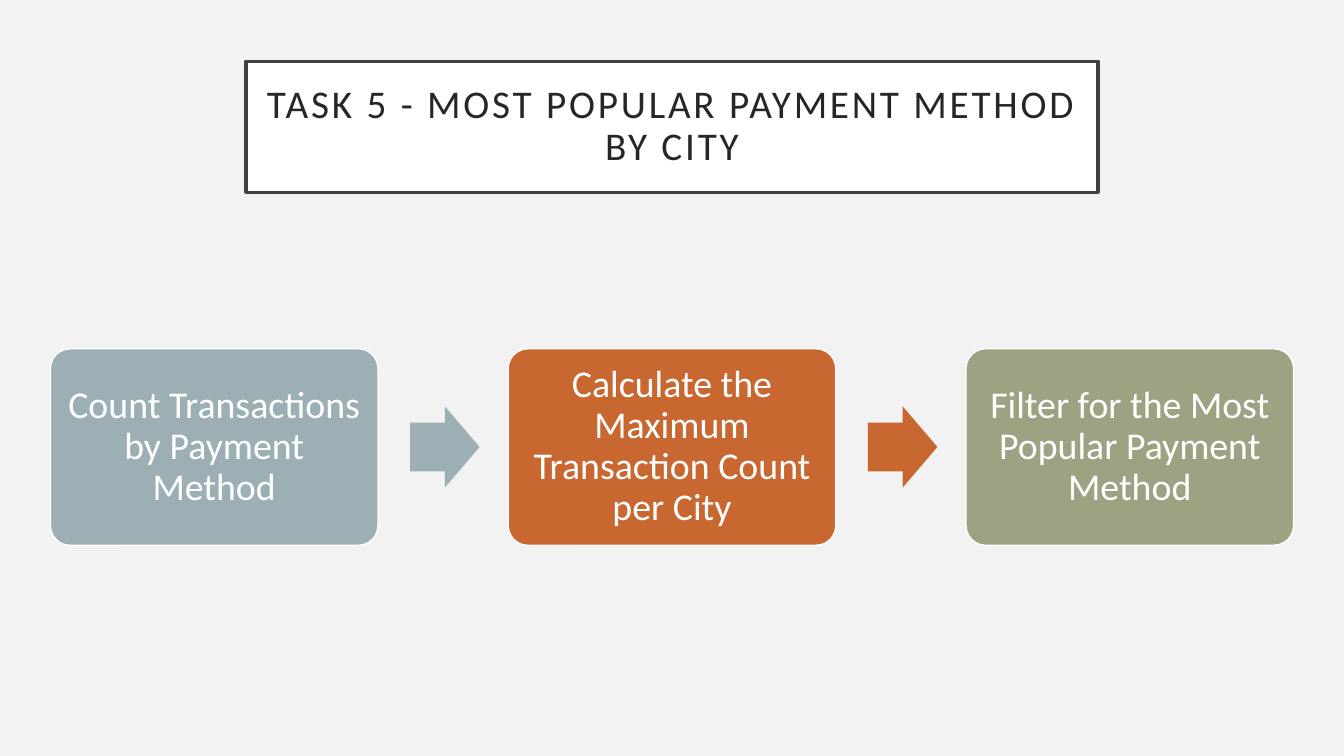
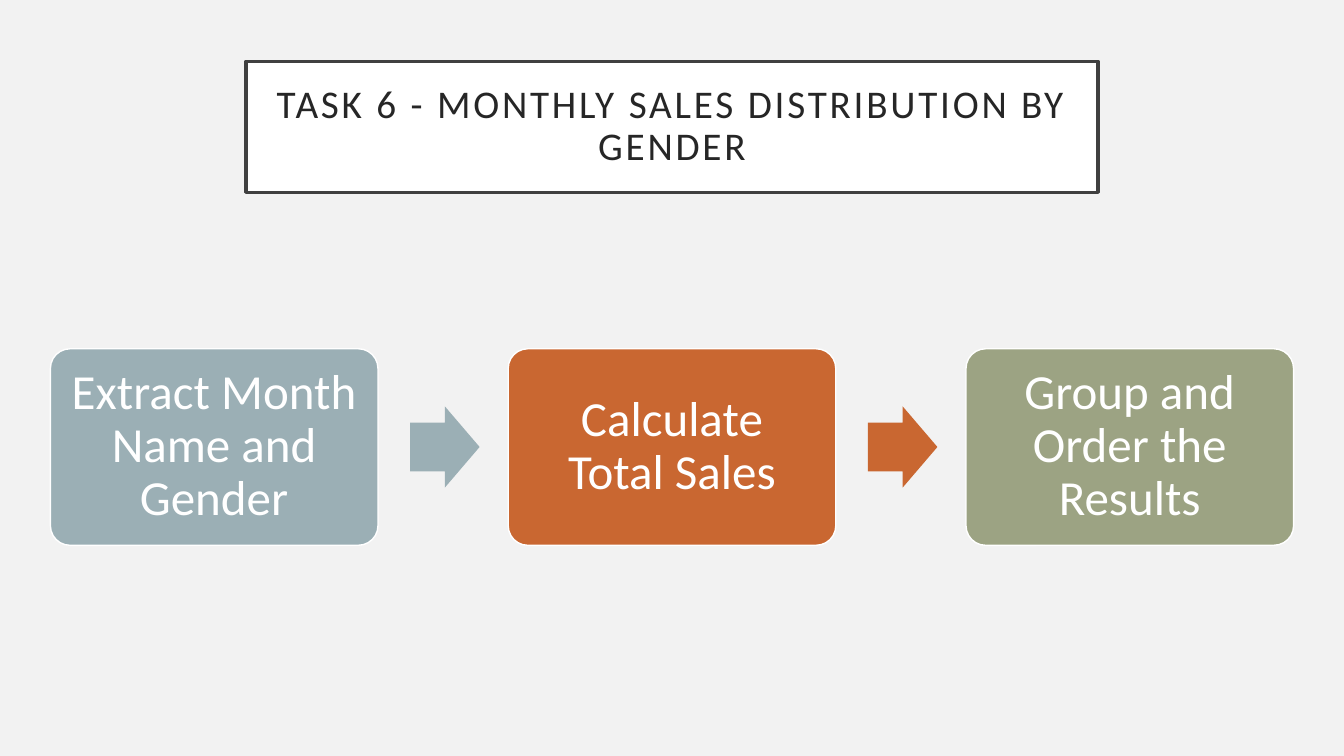
from dataclasses import dataclass

from pptx import Presentation
from pptx import util as u
from pptx.dml.color import RGBColor
from pptx.enum import shapes, text

# Shared look
FONT = "Calibri"
COLOURS = {
    "background": "F2F2F2",
    "title_fill": "FFFFFF",
    "title_line": "404040",
    "title_text": "262626",
    "step_text": "FFFFFF",
    "step_line": "FFFFFF",
}
STEP_FILLS = ("9BAFB5", "C96731", "9CA383")

# Geometry in points
SLIDE_WIDTH, SLIDE_HEIGHT = 960, 540
TITLE_TOP, TITLE_WIDTH, TITLE_HEIGHT = 43.8, 608.4, 93.6
TITLE_INSET = 14.4
MARGIN = 36
STEP_WIDTH, STEP_HEIGHT = 234, 140.4
STEP_MIDDLE = 319.3
ARROW_OFFSET, ARROW_WIDTH, ARROW_HEIGHT = 257, 49.6, 58


@dataclass(frozen=True)
class Process:
    title: str
    steps: tuple[str, ...]
    text_size: float
    inset: float


PROCESSES = (
    Process(
        "TASK 5 - MOST POPULAR PAYMENT METHOD BY CITY",
        (
            "Count Transactions by Payment Method",
            "Calculate the Maximum Transaction Count per City",
            "Filter for the Most Popular Payment Method",
        ),
        text_size=27,
        inset=8,
    ),
    Process(
        "TASK 6 - MONTHLY SALES DISTRIBUTION BY GENDER",
        (
            "Extract Month Name and Gender",
            "Calculate Total Sales",
            "Group and Order the Results",
        ),
        text_size=35,
        inset=10.8,
    ),
)


def colour(value: str) -> RGBColor:
    return RGBColor.from_string(value)


def paint(shape, fill: str, line: str | None = None, width: float = 1) -> None:
    """Fill a shape and give it an outline, or none."""
    shape.fill.solid()
    shape.fill.fore_color.rgb = colour(fill)
    if line is None:
        shape.line.fill.background()
    else:
        shape.line.color.rgb = colour(line)
        shape.line.width = u.Pt(width)


def write(shape, words: str, size: float, ink: str, inset: float):
    """Write one centred paragraph and return its run."""
    frame = shape.text_frame
    frame.word_wrap = True
    frame.auto_size = text.MSO_AUTO_SIZE.NONE
    frame.vertical_anchor = text.MSO_ANCHOR.MIDDLE
    frame.margin_left = frame.margin_right = u.Pt(inset)
    frame.margin_top = frame.margin_bottom = u.Pt(inset)
    para = frame.paragraphs[0]
    para.alignment = text.PP_ALIGN.CENTER
    para.line_spacing = 0.9
    span = para.add_run()
    span.text = words
    span.font.name = FONT
    span.font.size = u.Pt(size)
    span.font.color.rgb = colour(ink)
    return span


def set_title(page, words: str) -> None:
    box = page.shapes.title
    box.left = u.Pt((SLIDE_WIDTH - TITLE_WIDTH) / 2)
    box.top = u.Pt(TITLE_TOP)
    box.width, box.height = u.Pt(TITLE_WIDTH), u.Pt(TITLE_HEIGHT)
    paint(box, COLOURS["title_fill"], COLOURS["title_line"], 2.5)
    span = write(box, words, 28, COLOURS["title_text"], TITLE_INSET)
    # Letter spacing, in hundredths of a point
    span.font._element.set("spc", "200")


def add_block(page, kind, left: float, width: float, height: float,
              adjustments: tuple[float, ...]):
    """Add a preset shape centred on the row of steps."""
    block = page.shapes.add_shape(
        kind, u.Pt(left), u.Pt(STEP_MIDDLE - height / 2), u.Pt(width), u.Pt(height)
    )
    block.shadow.inherit = False
    for index, value in enumerate(adjustments):
        block.adjustments[index] = value
    return block


def add_steps(page, process: Process) -> None:
    last = len(process.steps) - 1
    pitch = (SLIDE_WIDTH - 2 * MARGIN - STEP_WIDTH) / last
    for index, (words, fill) in enumerate(zip(process.steps, STEP_FILLS)):
        left = MARGIN + index * pitch
        box = add_block(page, shapes.MSO_SHAPE.ROUNDED_RECTANGLE,
                        left, STEP_WIDTH, STEP_HEIGHT, (0.1,))
        paint(box, fill, COLOURS["step_line"])
        write(box, words, process.text_size, COLOURS["step_text"], process.inset)
        if index < last:
            arrow = add_block(page, shapes.MSO_SHAPE.RIGHT_ARROW, left + ARROW_OFFSET,
                              ARROW_WIDTH, ARROW_HEIGHT, (0.6, 0.5))
            paint(arrow, fill)


def main() -> None:
    deck = Presentation()
    deck.slide_width, deck.slide_height = u.Pt(SLIDE_WIDTH), u.Pt(SLIDE_HEIGHT)

    # Background shared through the master
    background = deck.slide_master.background.fill
    background.solid()
    background.fore_color.rgb = colour(COLOURS["background"])

    # One slide per process
    title_only = deck.slide_layouts.get_by_name("Title Only")
    for process in PROCESSES:
        page = deck.slides.add_slide(title_only)
        set_title(page, process.title)
        add_steps(page, process)

    deck.save("out.pptx")


if __name__ == "__main__":
    main()
